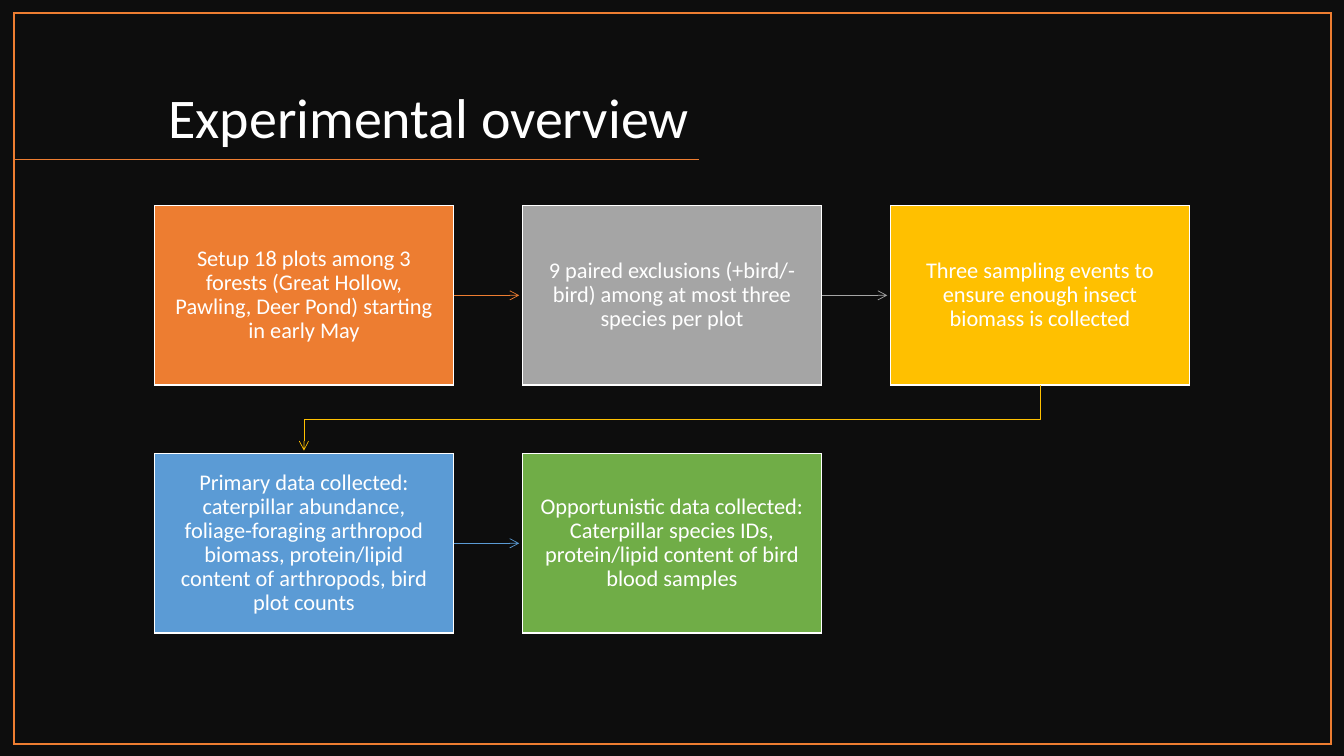
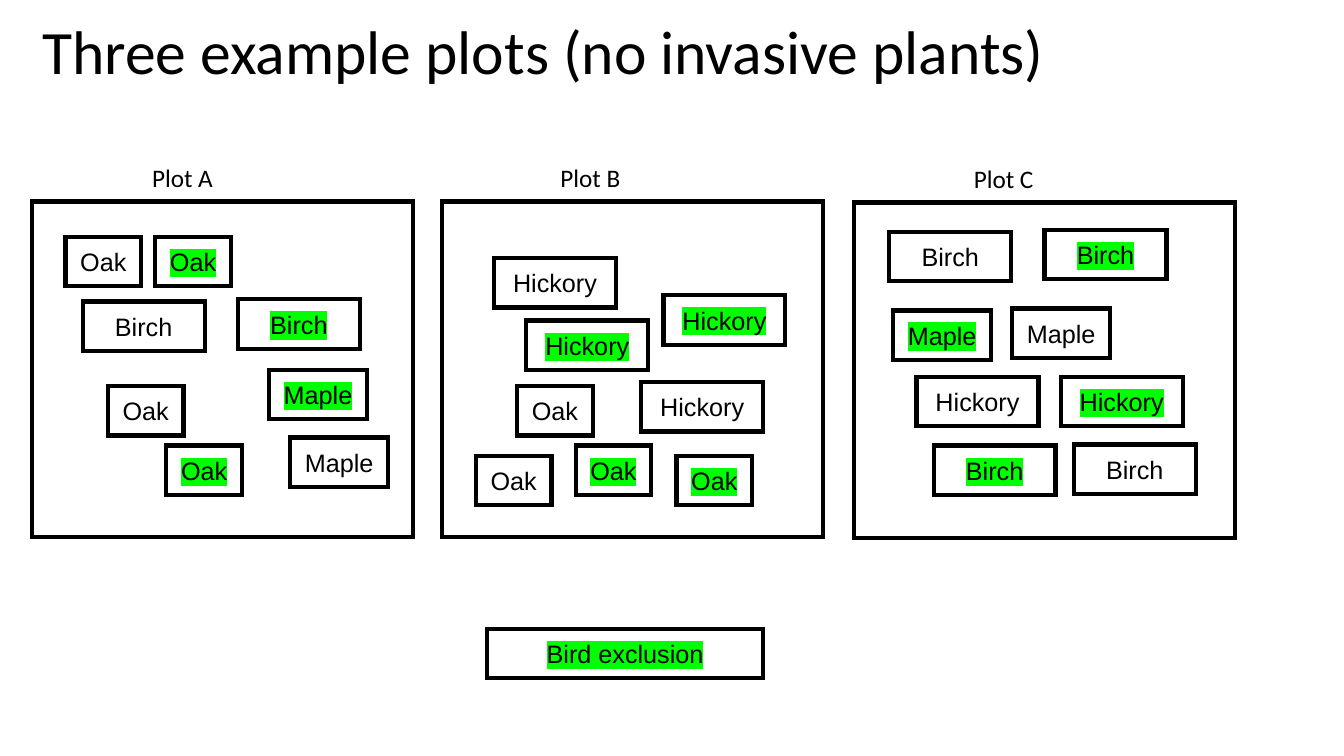
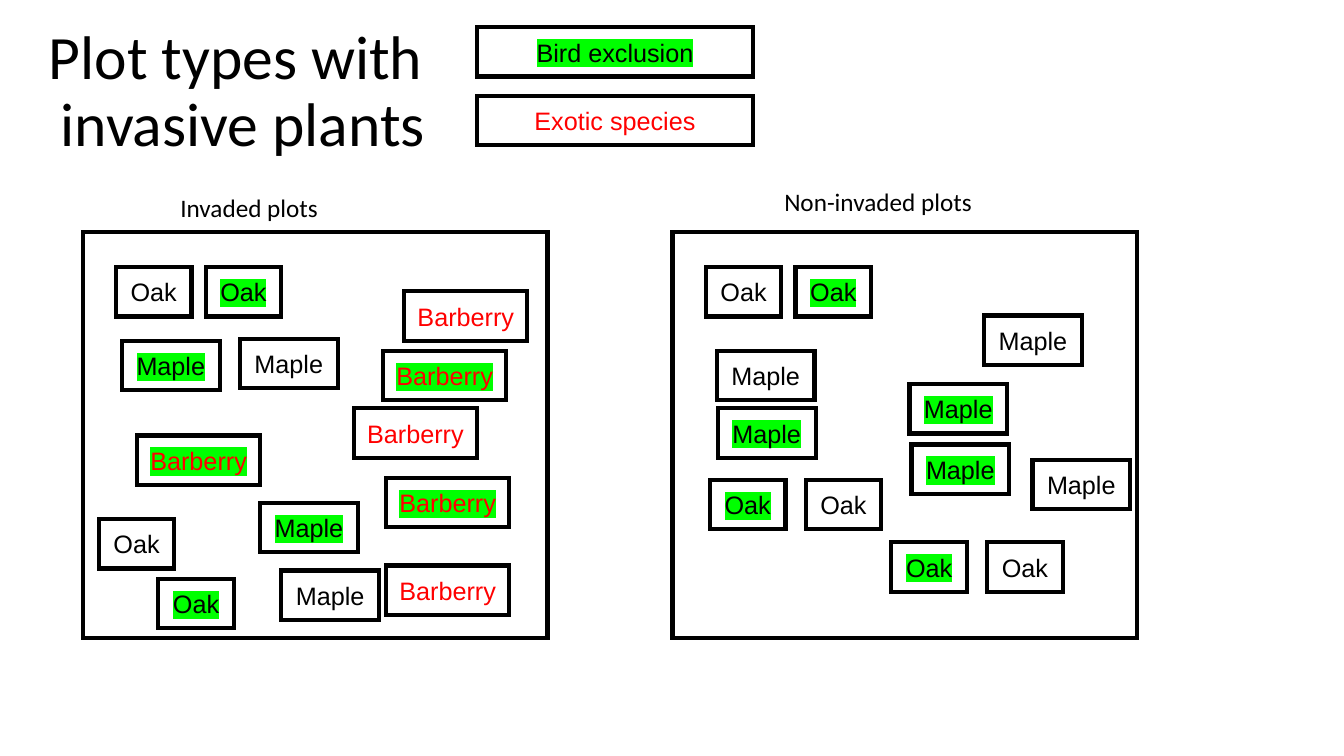
from dataclasses import dataclass

from lxml.etree import SubElement
from pptx import Presentation
from pptx.dml.color import RGBColor
from pptx.enum.shapes import MSO_CONNECTOR, MSO_SHAPE
from pptx.enum.text import MSO_ANCHOR, PP_ALIGN
from pptx.oxml.ns import qn
from pptx.util import Inches, Pt


@dataclass(frozen=True)
class Theme:
    heading_font: str = "Calibri"
    tag_font: str = "Arial"
    dark: str = "0D0D0D"
    white: str = "FFFFFF"
    black: str = "000000"
    accent: str = "ED7D31"
    exotic: str = "FF0000"
    exclusion: str = "00FF00"
    overview_title: int = 40
    title: int = 44
    body: int = 18
    step: int = 16


THEME = Theme()

# Step text and colour, in reading order
STEPS = [
    ("Setup 18 plots among 3 forests (Great Hollow, Pawling, Deer Pond) starting in early May", "ED7D31"),
    ("9 paired exclusions (+bird/-bird) among at most three species per plot", "A5A5A5"),
    ("Three sampling events to ensure enough insect biomass is collected", "FFC000"),
    ("Primary data collected: caterpillar abundance, foliage-foraging arthropod biomass, "
     "protein/lipid content of arthropods, bird plot counts", "5B9BD5"),
    ("Opportunistic data collected: Caterpillar species IDs, "
     "protein/lipid content of bird blood samples", "70AD47"),
]
STEP_COLUMNS = 3
STEP_LEFT, STEP_TOP = 1.53, 2.04
STEP_W, STEP_H = 2.97, 1.78
STEP_PITCH_X, STEP_PITCH_Y = 3.65, 2.46
ARROW_GAP = 0.03

TAG_WIDTHS = {"Oak": 0.75, "Maple": 0.97, "Birch": 1.21, "Hickory": 1.21, "Barberry": 1.22,
              "Bird exclusion": 2.74, "Exotic species": 2.74}
TAG_H = 0.49
EXOTICS = {"Barberry", "Exotic species"}

# Each plant is placed at (left, top): open to birds, or under bird exclusion
EXAMPLE_PLOTS = [
    {"label": ("Plot A", 1.41, 1.56, 0.89), "frame": (0.32, 2, 3.78, 3.33),
     "open": {"Oak": [(0.65, 2.35), (1.07, 3.83)], "Birch": [(0.82, 2.99)], "Maple": [(2.88, 4.34)]},
     "excluded": {"Oak": [(1.54, 2.35), (1.65, 4.42)], "Birch": [(2.36, 2.97)],
                  "Maple": [(2.67, 3.67)]}},
    {"label": ("Plot B", 5.46, 1.56, 0.89), "frame": (4.38, 2, 3.78, 3.33),
     "open": {"Oak": [(5.13, 3.83), (4.72, 4.52)], "Hickory": [(4.9, 2.56), (6.36, 3.79)]},
     "excluded": {"Oak": [(5.71, 4.42), (6.71, 4.52)], "Hickory": [(5.22, 3.18), (6.58, 2.93)]}},
    {"label": ("Plot C", 9.56, 1.57, 0.89), "frame": (8.47, 2.01, 3.78, 3.33),
     "open": {"Maple": [(10.04, 3.06)], "Hickory": [(9.09, 3.74)],
              "Birch": [(8.82, 2.3), (10.65, 4.41)]},
     "excluded": {"Maple": [(8.86, 3.08)], "Hickory": [(10.52, 3.74)],
                  "Birch": [(10.36, 2.28), (9.26, 4.42)]}},
]
INVASION_PLOTS = [
    {"label": ("Invaded plots", 1.69, 1.86, 2.68), "frame": (0.82, 2.3, 4.61, 4.03),
     "open": {"Oak": [(1.15, 2.65), (0.98, 5.15)], "Maple": [(2.79, 5.66), (2.38, 3.36)],
              "Barberry": [(3.83, 5.61), (4.01, 2.89), (3.51, 4.05)]},
     "excluded": {"Oak": [(2.04, 2.65), (1.57, 5.74)], "Maple": [(2.58, 4.99), (1.21, 3.38)],
                  "Barberry": [(1.36, 4.32), (3.83, 4.74), (3.8, 3.48)]}},
    {"label": ("Non-invaded plots", 7.68, 1.8, 2.68), "frame": (6.67, 2.3, 4.61, 4.03),
     "open": {"Oak": [(7, 2.65), (9.79, 5.38), (7.99, 4.76)],
              "Maple": [(7.11, 3.48), (9.76, 3.13), (10.24, 4.56)]},
     "excluded": {"Oak": [(7.89, 2.65), (8.84, 5.38), (7.04, 4.76)],
                  "Maple": [(7.12, 4.05), (9.02, 3.81), (9.04, 4.41)]}},
]


def rgb(color):
    return RGBColor.from_string(color)


def new_slide(prs):
    return prs.slides.add_slide(prs.slide_layouts[6])


def write(sp, text, size, color, font, align=PP_ALIGN.LEFT, anchor=MSO_ANCHOR.MIDDLE, spacing=None):
    """Fill a shape with one paragraph and return the paragraph."""
    tf = sp.text_frame
    tf.word_wrap = True
    tf.vertical_anchor = anchor
    p = tf.paragraphs[0]
    p.text = text
    p.alignment = align
    p.line_spacing = spacing
    p.font.size = Pt(size)
    p.font.name = font
    p.font.color.rgb = rgb(color)
    return p


def add_text(slide, box, text, size, color=THEME.black, **style):
    sp = slide.shapes.add_textbox(*map(Inches, box))
    write(sp, text, size, color, THEME.heading_font, **style)


def add_title(slide, box, text, size=THEME.title, **style):
    add_text(slide, box, text, size, spacing=0.9, **style)


def add_rect(slide, box, line, width, fill=None):
    sp = slide.shapes.add_shape(MSO_SHAPE.RECTANGLE, *map(Inches, box))
    sp.shadow.inherit = False
    if fill:
        sp.fill.solid()
        sp.fill.fore_color.rgb = rgb(fill)
    else:
        sp.fill.background()
    sp.line.color.rgb = rgb(line)
    sp.line.width = Pt(width)
    SubElement(sp.line._get_or_add_ln(), qn("a:miter"), lim="800000")
    return sp


def add_line(slide, start, end, color, width):
    line = slide.shapes.add_connector(MSO_CONNECTOR.STRAIGHT, *map(Inches, start + end))
    line.line.color.rgb = rgb(color)
    line.line.width = Pt(width)
    SubElement(line._element.spPr, qn("a:effectLst"))
    return line


def add_arrowhead(sp):
    SubElement(sp.line._get_or_add_ln(), qn("a:tailEnd"), type="arrow")


def add_elbow_arrow(slide, points, color):
    first, *rest = [tuple(map(Inches, point)) for point in points]
    builder = slide.shapes.build_freeform(*first)
    builder.add_line_segments(rest, close=False)
    sp = builder.convert_to_shape()
    sp.shadow.inherit = False
    sp.fill.background()
    sp.line.color.rgb = rgb(color)
    sp.line.width = Pt(0.5)
    add_arrowhead(sp)


def add_tag(slide, name, left, top, excluded=False):
    sp = add_rect(slide, (left, top, TAG_WIDTHS[name], TAG_H), THEME.black, 3)
    color = THEME.exotic if name in EXOTICS else THEME.black
    p = write(sp, name, THEME.body, color, THEME.tag_font, align=PP_ALIGN.CENTER)
    if excluded:
        highlight = SubElement(p.runs[0]._r.get_or_add_rPr(), qn("a:highlight"))
        SubElement(highlight, qn("a:srgbClr"), val=THEME.exclusion)


def add_plot(slide, plot):
    add_rect(slide, plot["frame"], THEME.black, 3)
    text, left, top, width = plot["label"]
    add_text(slide, (left, top, width, 0.4), text, THEME.body, anchor=MSO_ANCHOR.TOP)
    for group in ("open", "excluded"):
        for name, places in plot[group].items():
            for left, top in places:
                add_tag(slide, name, left, top, group == "excluded")


def add_step(slide, box, text, color):
    sp = add_rect(slide, box, THEME.white, 1, color)
    tf = sp.text_frame
    tf.margin_left = tf.margin_right = tf.margin_top = tf.margin_bottom = Inches(0.15)
    write(sp, text, THEME.step, THEME.white, THEME.heading_font, align=PP_ALIGN.CENTER, spacing=0.9)
    return sp


def add_step_arrow(slide, step, box, next_box, color):
    """Lead from a step to the next one, folding down at the end of a row."""
    left, top, width, height = box
    next_left, next_top = next_box[:2]
    if next_top == top:
        middle = top + height / 2
        arrow = add_line(slide, (left + width, middle), (next_left - ARROW_GAP, middle), color, 0.5)
        arrow.begin_connect(step, 3)
        add_arrowhead(arrow)
    else:
        start_x, end_x = left + width / 2, next_left + width / 2
        bottom = top + height
        turn = (bottom + next_top) / 2
        add_elbow_arrow(slide, [(start_x, bottom), (start_x, turn), (end_x, turn),
                                (end_x, next_top - ARROW_GAP)], color)


def build_overview(prs):
    slide = new_slide(prs)
    slide.background.fill.solid()
    slide.background.fill.fore_color.rgb = rgb(THEME.dark)
    add_title(slide, (0.92, 0.42, 6.01, 1.12), "Experimental overview", THEME.overview_title,
              color=THEME.white, align=PP_ALIGN.RIGHT, anchor=MSO_ANCHOR.BOTTOM)
    add_line(slide, (6.93, 1.58), (0.14, 1.58), THEME.accent, 1)
    add_rect(slide, (0.14, 0.13, 13.06, 7.25), THEME.accent, 1)

    boxes = []
    for i in range(len(STEPS)):
        row, column = divmod(i, STEP_COLUMNS)
        boxes.append((STEP_LEFT + column * STEP_PITCH_X, STEP_TOP + row * STEP_PITCH_Y, STEP_W, STEP_H))
    steps = [add_step(slide, box, *step) for box, step in zip(boxes, STEPS)]
    for step, box, next_box, (_, color) in zip(steps, boxes, boxes[1:], STEPS):
        add_step_arrow(slide, step, box, next_box, color)


def build_example_plots(prs):
    slide = new_slide(prs)
    add_title(slide, (0.32, -0.18, 12.19, 1.45), "Three example plots (no invasive plants)")
    for plot in EXAMPLE_PLOTS:
        add_plot(slide, plot)
    add_tag(slide, "Bird exclusion", 4.83, 6.24, True)


def build_invasion_plots(prs):
    slide = new_slide(prs)
    add_title(slide, (0.21, 0.2, 4.4, 1.45), "Plot types with \vinvasive plants", align=PP_ALIGN.CENTER)
    for plot in INVASION_PLOTS:
        add_plot(slide, plot)
    add_tag(slide, "Bird exclusion", 4.73, 0.27, True)
    add_tag(slide, "Exotic species", 4.73, 0.95)


def main():
    prs = Presentation()
    prs.slide_width, prs.slide_height = Inches(13.33), Inches(7.5)
    build_overview(prs)
    build_example_plots(prs)
    build_invasion_plots(prs)
    prs.save("out.pptx")


if __name__ == "__main__":
    main()
